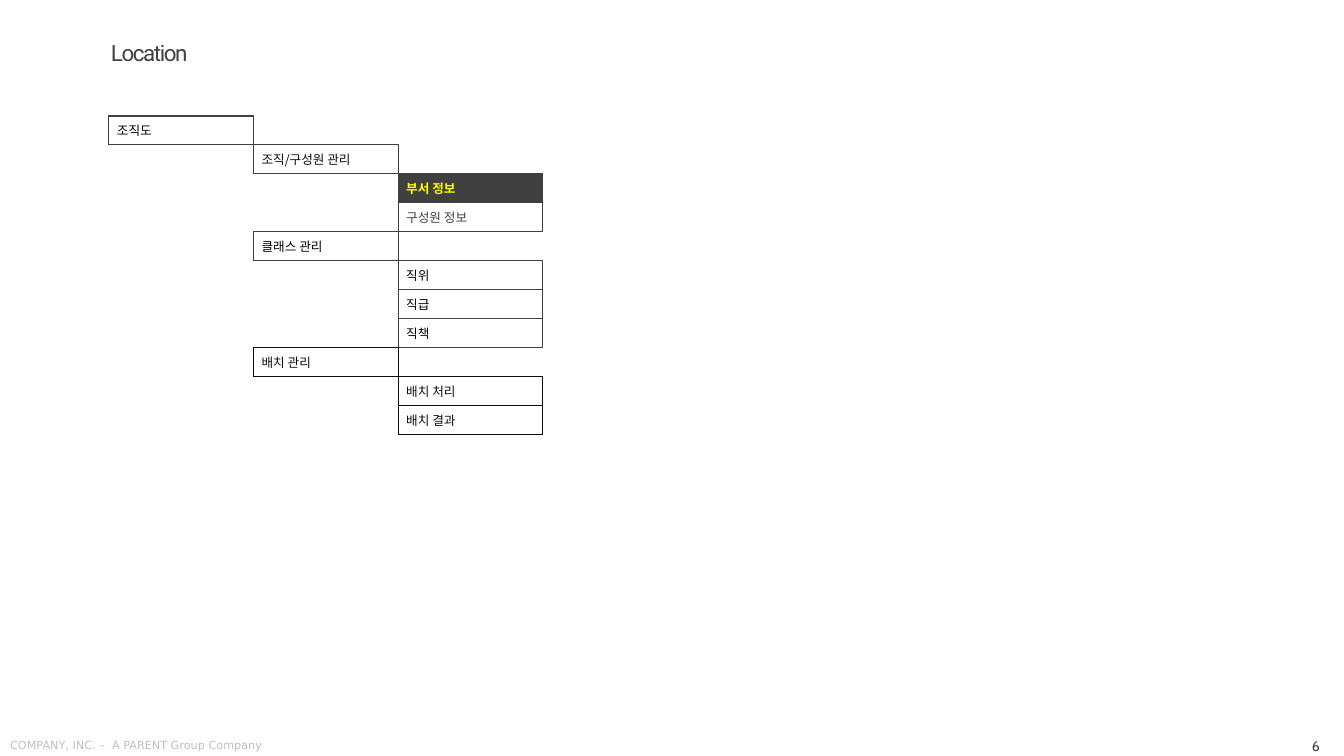
from lxml.etree import SubElement
from pptx import Presentation
from pptx.dml.color import RGBColor
from pptx.enum.text import MSO_ANCHOR as Anchor, PP_ALIGN as Align
from pptx.oxml.ns import qn
from pptx.util import Inches, Pt

COLORS = {
    "dark": "404040",
    "ink": "0D0D0D",
    "black": "000000",
    "white": "FFFFFF",
    "yellow": "FFFF00",
    "footer": "BFBFBF",
}
NO_STYLE = "{2D5ABB26-0587-4C30-8999-92F81FD0307C}"
# Border tag, opposite border tag, and row and column step to the neighbour
SIDES = [
    ("lnL", "lnR", 0, -1),
    ("lnR", "lnL", 0, 1),
    ("lnT", "lnB", -1, 0),
    ("lnB", "lnT", 1, 0),
]
# Row, level, label, text colour, border colour, fill, bold
MENU = [
    (0, 0, "조직도", "black", "dark", None, False),
    (1, 1, "조직/구성원 관리", "ink", "dark", None, False),
    (2, 2, "부서 정보", "yellow", "dark", "dark", True),
    (3, 2, "구성원 정보", "dark", "dark", "white", False),
    (4, 1, "클래스 관리", "black", "dark", None, False),
    (5, 2, "직위", "black", "dark", None, False),
    (6, 2, "직급", "black", "dark", None, False),
    (7, 2, "직책", "black", "dark", None, False),
    (8, 1, "배치 관리", "ink", "ink", "white", False),
    (9, 2, "배치 처리", "ink", "ink", "white", False),
    (10, 2, "배치 결과", "ink", "ink", "white", False),
]


class SlideBuilder:
    def __init__(self, slide):
        self.slide = slide

    def color(self, name):
        return RGBColor.from_string(COLORS[name])

    def style(self, paragraph, font, size, color, bold=False, spacing=0):
        face = paragraph.font
        face.name, face.size, face.bold = font, Pt(size), bold
        face.color.rgb = self.color(color)
        props = paragraph._p.pPr.find(qn("a:defRPr"))
        SubElement(props, qn("a:ea")).set("typeface", font)
        if spacing:
            props.set("spc", str(spacing * 100))

    def text(self, box, words, font, size, color, align=Align.LEFT,
             anchor=Anchor.TOP, inset=(0.04, 0.05), line=None, spacing=0):
        frame = self.slide.shapes.add_textbox(*map(Inches, box)).text_frame
        frame.word_wrap = True
        frame.vertical_anchor = anchor
        frame.margin_left = frame.margin_right = Inches(inset[0])
        frame.margin_top = frame.margin_bottom = Inches(inset[1])
        paragraph = frame.paragraphs[0]
        paragraph.text = words
        paragraph.alignment = align
        if line:
            paragraph.line_spacing = line
        self.style(paragraph, font, size, color, spacing=spacing)

    def border(self, cell, tag, color):
        line = SubElement(cell._tc.get_or_add_tcPr(), qn("a:" + tag))
        line.set("w", str(Pt(1) if color else 0))
        if color:
            fill = SubElement(line, qn("a:solidFill"))
            SubElement(fill, qn("a:srgbClr")).set("val", COLORS[color])
        else:
            SubElement(line, qn("a:noFill"))

    def menu_table(self, box, rows, columns, items, font, size):
        table = self.slide.shapes.add_table(rows, columns, *map(Inches, box)).table
        table.first_row = table.horz_banding = False
        table._tbl.tblPr.find(qn("a:tableStyleId")).text = NO_STYLE
        for row in table.rows:
            row.height = Inches(box[3] / rows)

        # A labelled cell shares its outline with its neighbours
        edges, entries = {}, {}
        for row, level, label, ink, outline, fill, bold in items:
            entries[row, level] = label, ink, fill, bold
            for tag, opposite, down, across in SIDES:
                edges[row, level, tag] = outline
                edges[row + down, level + across, opposite] = outline

        for row in range(rows):
            for level in range(columns):
                cell = table.cell(row, level)
                label, ink, fill, bold = entries.get(
                    (row, level), ("", "black", None, False))
                cell.vertical_anchor = Anchor.MIDDLE
                cell.margin_left = Inches(0.08)
                cell.margin_right = cell.margin_top = cell.margin_bottom = 0
                for tag, *_ in SIDES:
                    self.border(cell, tag, edges.get((row, level, tag)))
                if fill:
                    cell.fill.solid()
                    cell.fill.fore_color.rgb = self.color(fill)
                else:
                    cell.fill.background()
                paragraph = cell.text_frame.paragraphs[0]
                paragraph.text = label
                self.style(paragraph, font, size, ink, bold)
                if not label:
                    # Keeps empty cells from stretching the row
                    end = SubElement(paragraph._p, qn("a:endParaRPr"))
                    end.set("sz", str(size * 100))


def main():
    deck = Presentation()
    deck.slide_width, deck.slide_height = Inches(13.33), Inches(7.5)
    page = SlideBuilder(deck.slides.add_slide(deck.slide_layouts[6]))

    # Footer
    page.text((12.42, 7.29, 0.71, 0.21), "6", "Cabin", 10, "dark",
              align=Align.RIGHT, anchor=Anchor.MIDDLE)
    page.text((0.06, 7.28, 3.59, 0.21),
              "COMPANY, INC. –  A PARENT Group Company",
              "DejaVu Sans", 8, "footer")

    # Title
    page.text((1.1, 0.42, 9.37, 0.36), "Location", "Roboto", 16, "dark",
              inset=(0, 0), line=0.9, spacing=-1)

    # Menu tree
    page.menu_table((1.08, 1.15, 5.74, 3.16), len(MENU), 4, MENU,
                    "Noto Sans CJK KR", 9)

    deck.save("out.pptx")


if __name__ == "__main__":
    main()
